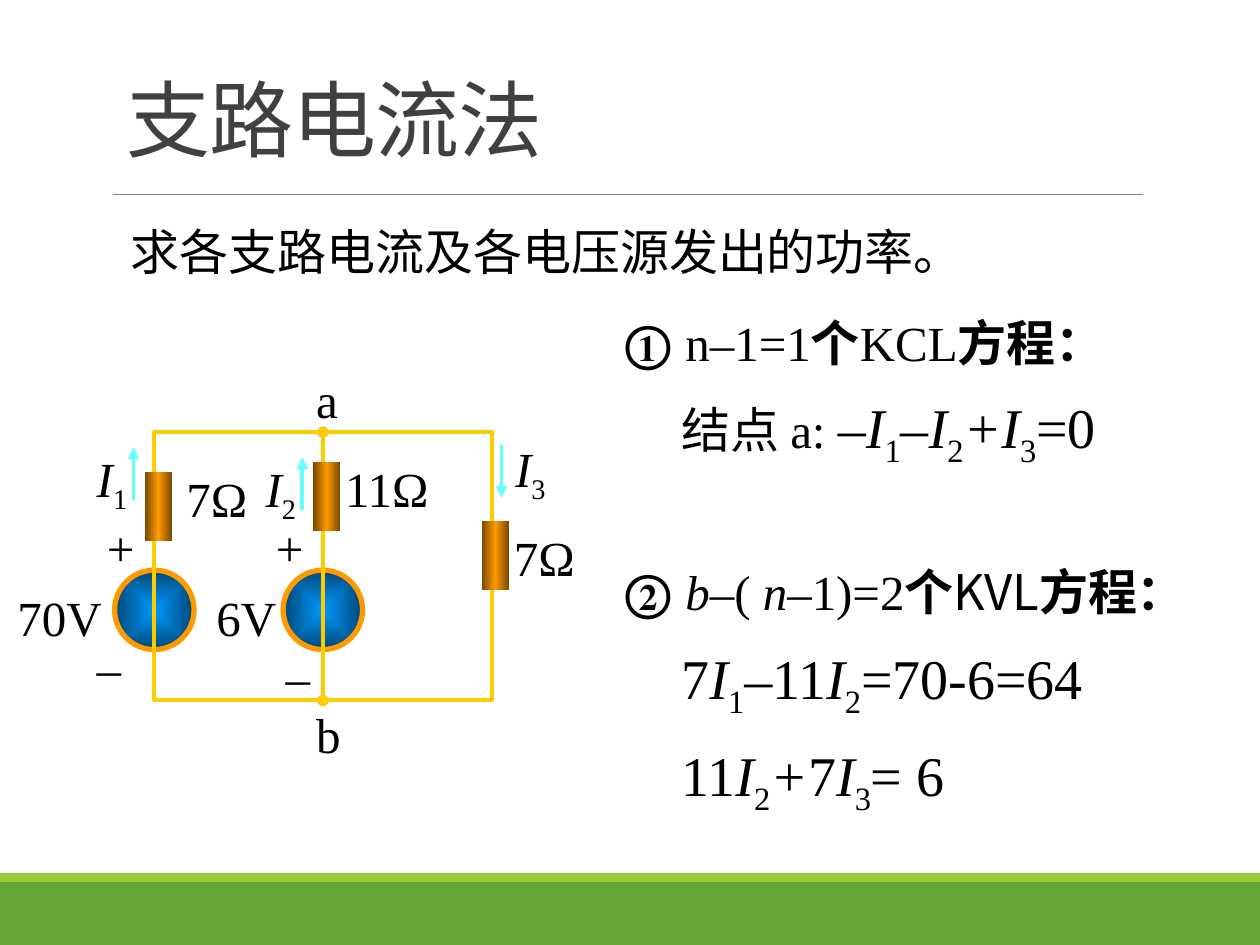
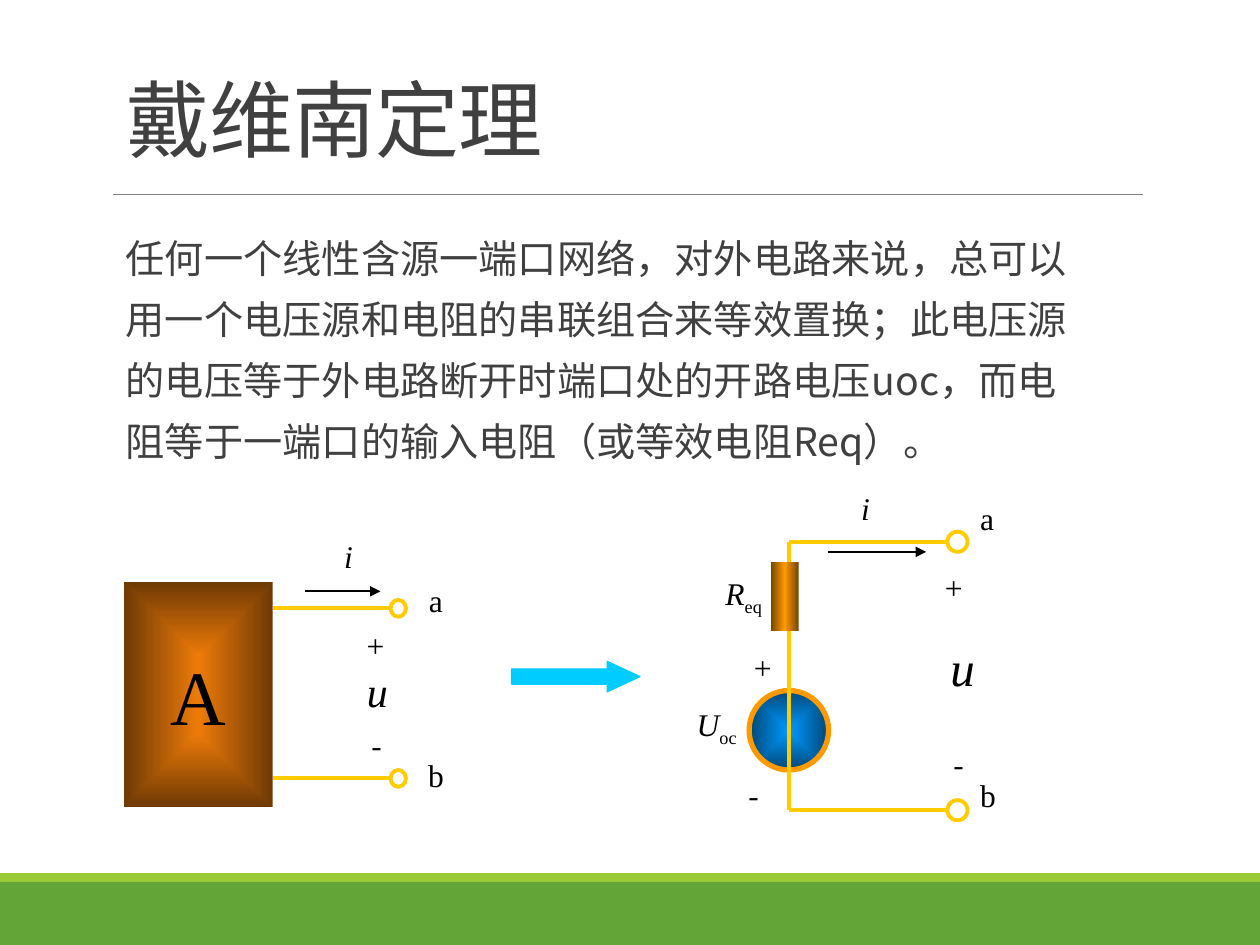
from dataclasses import dataclass

from lxml.etree import SubElement
from pptx import Presentation
from pptx.dml.color import RGBColor
from pptx.enum.shapes import MSO_CONNECTOR, MSO_SHAPE
from pptx.enum.text import MSO_ANCHOR, MSO_AUTO_SIZE, PP_ALIGN
from pptx.oxml import parse_xml
from pptx.oxml.ns import nsdecls, qn
from pptx.util import Pt


@dataclass(frozen=True)
class Theme:
    serif: str = "Times New Roman"
    sans: str = "Noto Sans CJK SC"
    ink: str = "000000"
    soft_ink: str = "404040"
    rule: str = "808080"
    band: str = "63A537"
    band_edge: str = "99CB38"
    wire: str = "FFCC00"
    current: str = "66FFFF"
    source_rim: str = "FF9900"
    implies: str = "00CCFF"
    source_fill: tuple = ((0, "0099FF"), (100, "004776"))
    resistor_fill: tuple = ((0, "764700"), (50, "FF9900"), (100, "764700"))
    network_fill: tuple = ((0, "EE7B08"), (100, "6E3904"))
    title_size: float = 48
    network_size: float = 44
    equation_size: float = 32
    text_size: float = 28
    voltage_size: float = 24
    body_size: float = 22.4
    label_size: float = 18
    wire_width: float = 2.25


THEME = Theme()
ITALIC = {"italic": True}
BOLD = {"bold": True}
SUB = {"baseline": "-25000"}
SANS = {"name": THEME.sans}
CENTERED = {"align": PP_ALIGN.CENTER, "anchor": MSO_ANCHOR.MIDDLE}
SOURCE_SIDE = 45.4
RESISTOR_WIDTH, RESISTOR_HEIGHT = 15.8, 39.6


def rgb(value):
    return RGBColor.from_string(value)


def symbol(letter, index):
    """Runs of an italic quantity with an upright subscript."""
    return [(letter, ITALIC), (index, SUB)]


def add_runs(paragraph, runs, size, color=THEME.ink, font=THEME.serif):
    """Add runs given as a string or as (text, format, ...) tuples."""
    for text, *formats in [(runs,)] if isinstance(runs, str) else runs:
        run = paragraph.add_run()
        run.text = text
        values = {"name": font, "size": size}
        for extra in formats:
            values.update(extra)
        properties = run._r.get_or_add_rPr()
        if "baseline" in values:
            properties.set("baseline", values.pop("baseline"))
        values["size"] = Pt(values["size"])
        for key, value in values.items():
            setattr(run.font, key, value)
        run.font.color.rgb = rgb(color)
        east_asian = SubElement(properties, qn("a:ea"))
        east_asian.set("typeface", THEME.sans)


def add_text(slide, left, top, width, height, runs, size=THEME.text_size,
             align=PP_ALIGN.LEFT, anchor=MSO_ANCHOR.TOP, **style):
    frame = slide.shapes.add_textbox(Pt(left), Pt(top), Pt(width), Pt(height)).text_frame
    frame.word_wrap = True
    frame.auto_size = MSO_AUTO_SIZE.SHAPE_TO_FIT_TEXT
    frame.vertical_anchor = anchor
    paragraph = frame.paragraphs[0]
    paragraph.alignment = align
    add_runs(paragraph, runs, size, **style)
    return frame


def add_label(slide, left, top, runs, width=60, size=THEME.text_size, **style):
    return add_text(slide, left, top, width, size * 1.2 + 7.2, runs, size, **style)


def add_step(slide, top, number, runs):
    """Add a line numbered with a circled digit."""
    frame = add_text(slide, 350.6, top, 366, 41, runs)
    properties = frame.paragraphs[0]._p.get_or_add_pPr()
    for key, value in {"marL": Pt(27), "indent": -Pt(27)}.items():
        properties.set(key, str(value))
    numbering = SubElement(properties, qn("a:buAutoNum"))
    numbering.set("type", "circleNumDbPlain")
    numbering.set("startAt", str(number))


def add_block(slide, preset, left, top, width, height, fill=None, line=None,
              line_width=THEME.wire_width):
    block = slide.shapes.add_shape(preset, Pt(left), Pt(top), Pt(width), Pt(height))
    block.shadow.inherit = False
    if fill:
        block.fill.solid()
        block.fill.fore_color.rgb = rgb(fill)
    else:
        block.fill.background()
    if line:
        block.line.color.rgb = rgb(line)
        block.line.width = Pt(line_width)
    else:
        block.line.fill.background()
    return block


def shade(block, stops, radial=False):
    """Replace the empty fill of a block by a gradient."""
    marks = "".join(f'<a:gs pos="{place * 1000}"><a:srgbClr val="{color}"/></a:gs>'
                    for place, color in stops)
    course = ('<a:path path="rect"><a:fillToRect l="50000" t="50000" r="50000" b="50000"/>'
              "</a:path>" if radial else '<a:lin ang="0" scaled="1"/>')
    gradient = parse_xml(f'<a:gradFill {nsdecls("a")} rotWithShape="1">'
                         f"<a:gsLst>{marks}</a:gsLst>{course}</a:gradFill>")
    properties = block._element.spPr
    properties.replace(properties.find(qn("a:noFill")), gradient)


def add_line(slide, x1, y1, x2, y2, color=THEME.wire, width=THEME.wire_width,
             head=None, tail=None):
    line = slide.shapes.add_connector(MSO_CONNECTOR.STRAIGHT, Pt(x1), Pt(y1), Pt(x2), Pt(y2))
    line.line.color.rgb = rgb(color)
    line.line.width = Pt(width)
    properties = line._element.spPr
    for end, kind in (("a:headEnd", head), ("a:tailEnd", tail)):
        if kind:
            SubElement(properties.find(qn("a:ln")), qn(end)).set("type", kind)
    SubElement(properties, qn("a:effectLst"))


def add_source(slide, center_x, top):
    source = add_block(slide, MSO_SHAPE.OVAL, center_x - SOURCE_SIDE / 2, top,
                       SOURCE_SIDE, SOURCE_SIDE, line=THEME.source_rim, line_width=3)
    shade(source, THEME.source_fill, radial=True)


def add_resistor(slide, left, top):
    resistor = add_block(slide, MSO_SHAPE.RECTANGLE, left, top,
                         RESISTOR_WIDTH, RESISTOR_HEIGHT)
    shade(resistor, THEME.resistor_fill)


def add_terminal(slide, left, center_y, width, height):
    add_block(slide, MSO_SHAPE.OVAL, left, center_y - height / 2, width, height,
              line=THEME.wire)


def add_titled_slide(deck, heading):
    slide = deck.slides.add_slide(deck.slide_layouts[5])
    add_block(slide, MSO_SHAPE.RECTANGLE, 0, 504, 720, 36, THEME.band)
    add_block(slide, MSO_SHAPE.RECTANGLE, 0, 499, 720, 5, THEME.band_edge)
    add_line(slide, 64.8, 111.2, 653, 111.2, THEME.rule, 0.5)
    title = slide.shapes.title
    title.left, title.top, title.width, title.height = Pt(64.8), Pt(22.3), Pt(594), Pt(77.8)
    frame = title.text_frame
    frame.word_wrap = True
    frame.auto_size = MSO_AUTO_SIZE.NONE
    frame.vertical_anchor = MSO_ANCHOR.BOTTOM
    paragraph = frame.paragraphs[0]
    paragraph.alignment = PP_ALIGN.LEFT
    paragraph.line_spacing = 0.85
    add_runs(paragraph, heading, THEME.title_size, THEME.soft_ink, THEME.sans)
    paragraph.runs[0]._r.get_or_add_rPr().set("spc", "-50")
    return slide


def add_branch_equations(slide):
    add_step(slide, 175, 1, [(" ", BOLD), ("n–1=1",), ("个", BOLD), ("KCL",),
                             ("方程：", BOLD)])
    add_step(slide, 317.5, 2, [(" ", BOLD), ("b", ITALIC), ("–( ",), ("n", ITALIC),
                               ("–1)=2",), ("个", SANS, BOLD), ("KVL", SANS),
                               ("方程：", SANS, BOLD)])
    i1, i2, i3 = (symbol("I", index) for index in "123")
    small = {"size": THEME.text_size}
    equations = (
        (221, [("结点", SANS, small), (" a: ", small), ("–", ITALIC), *i1, ("–",), *i2,
               ("+", ITALIC), *i3, ("=0",)]),
        (364.3, [("7",), *i1, ("–", ITALIC), ("11",), *i2, ("=70-6=64",)]),
        (419.8, [("11",), *i2, ("+", ITALIC), ("7",), *i3, ("= 6",)]),
    )
    for top, runs in equations:
        add_text(slide, 382.3, top, 317.5, 45.4, runs, THEME.equation_size)


def add_three_branch_circuit(slide):
    left_x, middle_x, top_y, bottom_y = 88.2, 184.5, 247, 400.3
    for x in (left_x, middle_x):
        add_source(slide, x, 325.8)
    labels = (
        (2.9, 331.9, "70V"), (116.6, 331.9, "6V"), (286.6, 298.1, "7Ω"),
        (99.4, 264.2, "7Ω"), (190.1, 258.5, "11Ω"), (173.5, 207.4, "a"),
        (173.5, 398.9, "b"), (54, 292.3, "+"), (150.5, 292.3, "+"),
        (48.2, 360.7, "–"), (156.2, 365.8, "–"), (48.2, 252.7, symbol("I", "1")),
        (144.7, 258.5, symbol("I", "2")), (287.3, 247, symbol("I", "3")),
    )
    for left, top, runs in labels:
        add_label(slide, left, top, runs, width=68)
    for x, start, end in ((76.3, 285.8, 255.6), (172.8, 291.6, 261.4), (286.6, 254.2, 284.4)):
        add_line(slide, x, start, x, end, THEME.current, tail="triangle")
    add_block(slide, MSO_SHAPE.RECTANGLE, left_x, top_y, 193, bottom_y - top_y,
              line=THEME.wire)
    add_line(slide, middle_x, top_y, middle_x, bottom_y, head="oval", tail="oval")
    for left, top in ((82.6, 269.6), (178.8, 264), (275.2, 297.8)):
        add_resistor(slide, left, top)


def add_one_port_network(slide):
    for terminal, y, label_top in (("a", 347.6, 328.3), ("b", 444.8, 428.4)):
        add_line(slide, 155.8, y, 223, y)
        add_terminal(slide, 223.2, y, 8.8, 9.6)
        add_label(slide, 237.6, label_top, terminal, 23, THEME.label_size, **CENTERED)
    add_line(slide, 174.2, 337.9, 217.4, 337.9, THEME.ink, 1, tail="triangle")
    add_label(slide, 189.4, 303.1, [("i", ITALIC)], 19.4, THEME.label_size, **CENTERED)
    add_label(slide, 202.3, 376.6, [("u", ITALIC)], 26.6, THEME.voltage_size, **CENTERED)
    add_label(slide, 202.3, 354.2, "+", 24.5, THEME.label_size, **CENTERED)
    add_label(slide, 203.4, 411.8, [("-", SANS)], 24, THEME.label_size, **CENTERED)
    network = add_block(slide, MSO_SHAPE.RECTANGLE, 70.8, 332.6, 85, 128.6)
    shade(network, THEME.network_fill, radial=True)
    network.text_frame.vertical_anchor = MSO_ANCHOR.MIDDLE
    paragraph = network.text_frame.paragraphs[0]
    paragraph.alignment = PP_ALIGN.CENTER
    add_runs(paragraph, "A", THEME.network_size)


def add_equivalent_circuit(slide):
    wire_x, port_x, top_y, bottom_y = 450.8, 541.4, 309.6, 463
    add_source(slide, wire_x, 394.6)
    add_line(slide, wire_x, top_y, wire_x, bottom_y)
    for terminal, y, label_top in (("a", top_y, 281.5), ("b", bottom_y, 439.9)):
        add_line(slide, wire_x, y, port_x, y)
        add_terminal(slide, port_x, y, 11.5, 11.5)
        add_label(slide, 553, label_top, terminal, 40, THEME.label_size)
    add_line(slide, 473, 315.4, 529.2, 315.4, THEME.ink, 1, tail="triangle")
    add_label(slide, 407.5, 324.7, symbol("R", "eq"), 56, THEME.label_size)
    add_label(slide, 391, 399.6, symbol("U", "oc"), 42, THEME.label_size)
    add_label(slide, 478.8, 275.8, [("i", ITALIC)], 31.7, THEME.label_size, **CENTERED)
    add_label(slide, 535.7, 360.7, [("u", ITALIC)], 28.8, **CENTERED)
    for left, top in ((423.6, 366.5), (532.8, 321.1)):
        add_label(slide, left, top, "+", 24.5, THEME.label_size, **CENTERED)
    for left, top in ((419, 440.6), (535.7, 422.6)):
        add_label(slide, left, top, [("-", SANS)], 24, THEME.label_size, **CENTERED)
    add_resistor(slide, 440.6, 321.1)


def add_theorem(slide):
    statement = add_text(
        slide, 64.8, 122.4, 561.6, 187,
        "任何一个线性含源一端口网络，对外电路来说，总可以用一个电压源和电阻的串联组合来等效置换；"
        "此电压源的电压等于外电路断开时端口处的开路电压uoc，而电阻等于一端口的输入电阻（或等效电阻Req）。",
        THEME.body_size, color=THEME.soft_ink, font=THEME.sans)
    statement.auto_size = MSO_AUTO_SIZE.NONE
    statement.margin_left, statement.margin_right = Pt(7.2), 0
    statement.paragraphs[0].line_spacing = Pt(34.9)


def main():
    deck = Presentation()
    deck.slide_width, deck.slide_height = Pt(720), Pt(540)

    branch_currents = add_titled_slide(deck, "支路电流法")
    add_text(branch_currents, 67.7, 123.1, 572.4, 41,
             "求各支路电流及各电压源发出的功率。", font=THEME.sans)
    add_branch_equations(branch_currents)
    add_three_branch_circuit(branch_currents)

    thevenin = add_titled_slide(deck, "戴维南定理")
    add_theorem(thevenin)
    implies = add_block(thevenin, MSO_SHAPE.RIGHT_ARROW, 292.3, 378, 73.4, 17.3,
                        THEME.implies, THEME.implies, 0.75)
    implies.adjustments[1] = 1.08
    add_one_port_network(thevenin)
    add_equivalent_circuit(thevenin)

    deck.save("out.pptx")


if __name__ == "__main__":
    main()
